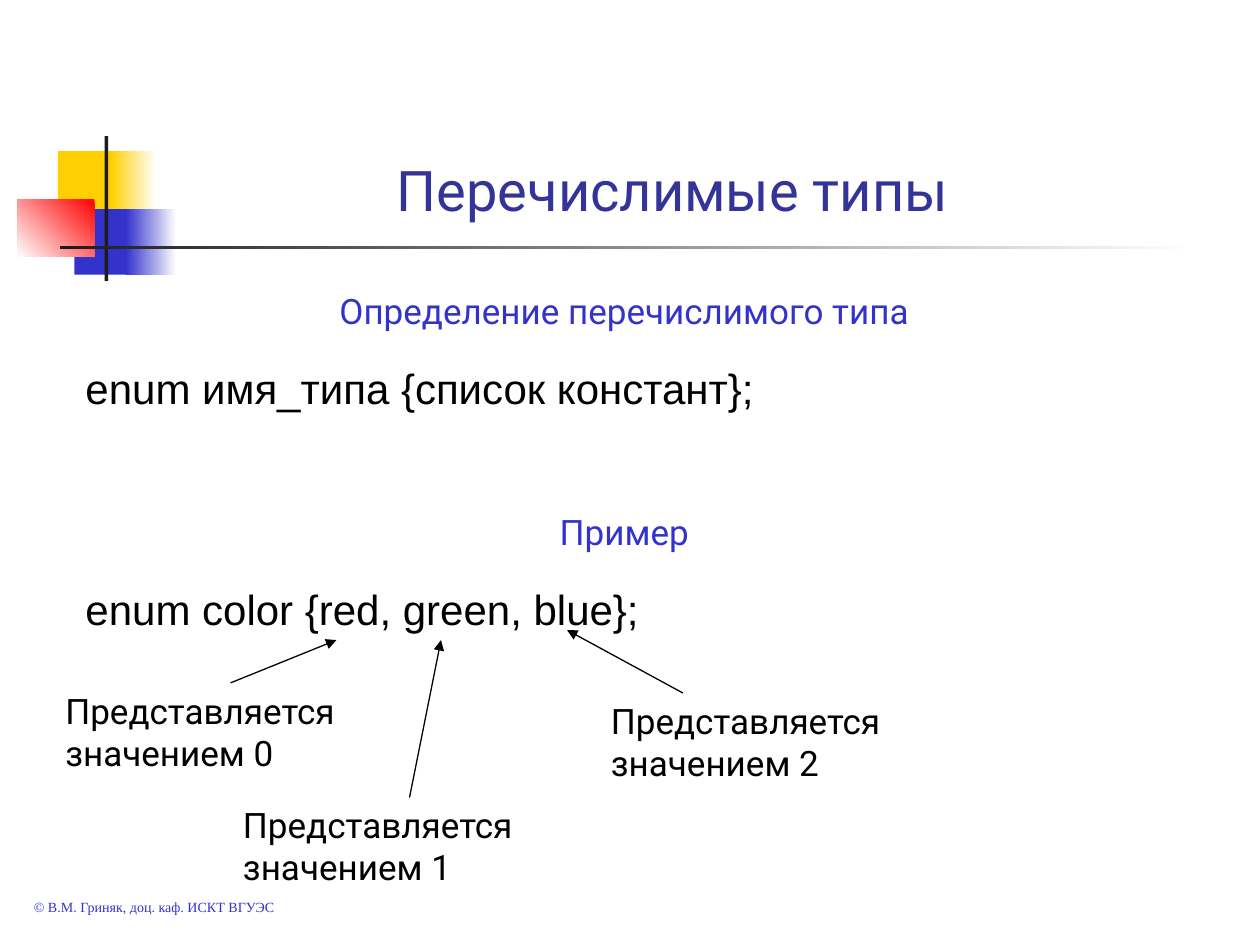
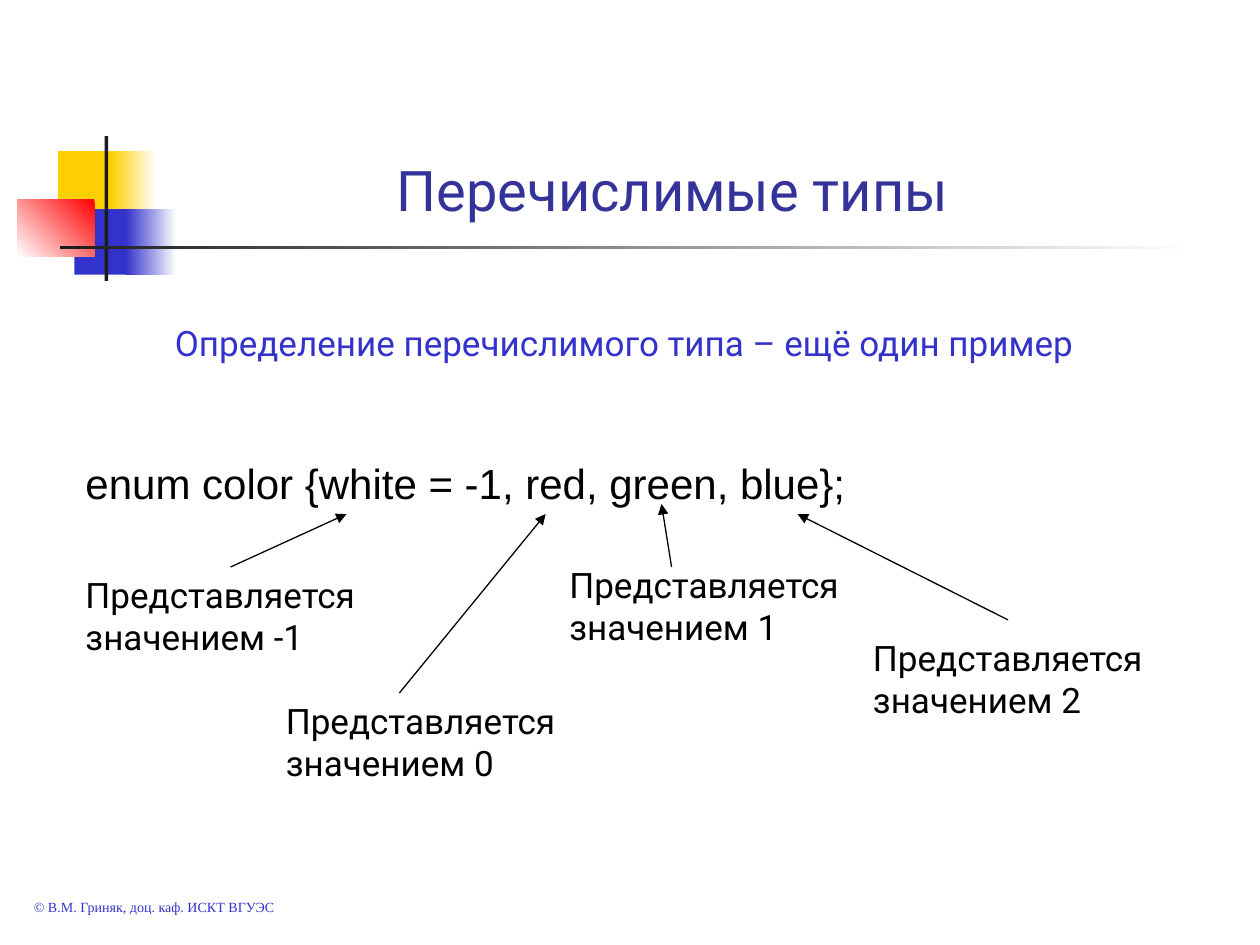
import pptx
import pptx.util
import pptx.dml.color
import pptx.enum.shapes
import pptx.enum.text
import pptx.oxml
import pptx.oxml.ns
from lxml import etree

Inches = pptx.util.Inches
ALIGN = pptx.enum.text.PP_ALIGN
ANCHOR = pptx.enum.text.MSO_ANCHOR

# Shared look
YELLOW, BLUE, RED, DARK = "FFCF01", "3333CC", "FF0000", "1C1C1C"
WHITE, BLACK, TITLE_COLOUR = "FFFFFF", "000000", "333399"
TITLE_ONLY = 5

# Text styles: font, size, colour, alignment
STYLES = {
    "title": ("Roboto", 32, TITLE_COLOUR, ALIGN.CENTER),
    "heading": ("Roboto", 20, BLUE, ALIGN.CENTER),
    "code": ("Arial", 24, BLACK, ALIGN.JUSTIFY),
    "note": ("Roboto", 20, BLACK, ALIGN.LEFT),
    "footer": ("Times New Roman", 8, BLUE, ALIGN.LEFT),
}

# Left, width and height of the boxes that share a column
HEADING_BOX = (0.33, 9.25, 0.44)
CODE_BOX = (0.58, 9.08, 0.9)
NOTE_SIZE = (2.58, 0.77)

# Emblem bars: left, top, width, height, colours from start to end, direction
EMBLEM = [
    (0.46, 1.2, 0.48, 0.52, [YELLOW], None),
    (0.88, 1.2, 0.36, 0.52, [WHITE, YELLOW], 180),
    (0.59, 1.66, 0.46, 0.52, [BLUE], None),
    (1, 1.66, 0.4, 0.52, [WHITE, BLUE], 180),
    (0.14, 1.58, 0.61, 0.46, [RED, WHITE], 225),
    (0.83, 1.08, 0.03, 1.15, [DARK], None),
    (0.48, 1.95, 9, 0.03, [WHITE, DARK], 180),
]

TITLE = "Перечислимые типы"
FOOTER = "© В.М. Гриняк, доц. каф. ИСКТ ВГУЭС"
NOTE = "Представляется значением {}"

# Headings and code: (top, text); notes: (value, left, top, arrow start, arrow end)
SLIDES = [
    {
        "headings": [(2.25, "Определение перечислимого типа"), (4, "Пример")],
        "code": [(2.83, "enum имя_типа {список констант};"),
                 (4.58, "enum color {red, green, blue};")],
        "notes": [
            (0, 0.42, 5.42, (1.83, 5.42), (2.67, 5.08)),
            (1, 1.83, 6.33, (3.25, 6.33), (3.5, 5.08)),
            (2, 4.75, 5.5, (5.42, 5.5), (4.5, 5)),
        ],
    },
    {
        "headings": [(2.5, "Определение перечислимого типа – ещё один пример")],
        "code": [(3.58, "enum color {white = -1, red, green, blue};")],
        "notes": [
            (-1, 0.58, 4.5, (1.83, 4.5), (2.75, 4.08)),
            (0, 2.17, 5.5, (3.17, 5.5), (4.33, 4.08)),
            (1, 4.42, 4.42, (5.33, 4.5), (5.25, 4)),
            (2, 6.83, 5, (8, 4.92), (6.33, 4.08)),
        ],
    },
]


def colour(value):
    return pptx.dml.color.RGBColor.from_string(value)


def write(box, text, style, anchor=ANCHOR.TOP):
    font, size, text_colour, alignment = STYLES[style]
    frame = box.text_frame
    frame.word_wrap = True
    frame.auto_size = pptx.enum.text.MSO_AUTO_SIZE.NONE
    frame.vertical_anchor = anchor
    frame.text = text
    para = frame.paragraphs[0]
    para.alignment = alignment
    span = para.runs[0]
    span.font.name = font
    span.font.size = pptx.util.Pt(size)
    span.font.color.rgb = colour(text_colour)


def add_text(page, left, top, width, height, text, style):
    box = page.shapes.add_textbox(*map(Inches, (left, top, width, height)))
    write(box, text, style)


def add_arrow(page, start, end):
    arrow = page.shapes.add_connector(
        pptx.enum.shapes.MSO_CONNECTOR.STRAIGHT, *map(Inches, start + end))
    arrow.line.color.rgb = colour(BLACK)
    arrow.line.width = pptx.util.Pt(0.75)
    properties = arrow.element.spPr
    line = properties.find(pptx.oxml.ns.qn("a:ln"))
    etree.SubElement(line, pptx.oxml.ns.qn("a:tailEnd"), type="triangle")
    etree.SubElement(properties, pptx.oxml.ns.qn("a:effectLst"))


def put_emblem_on_layout(page):
    """Draw the bars on a page, then move them behind everything on its layout."""
    tree = page.slide_layout.shapes.element
    for index, (left, top, width, height, colours, angle) in enumerate(EMBLEM):
        bar = page.shapes.add_shape(
            pptx.enum.shapes.MSO_SHAPE.RECTANGLE,
            *map(Inches, (left, top, width, height)))
        bar.shadow.inherit = False
        bar.line.fill.background()
        if angle is None:
            bar.fill.solid()
            bar.fill.fore_color.rgb = colour(colours[0])
        else:
            bar.fill.gradient()
            bar.fill.gradient_angle = angle
            for stop, value in zip(bar.fill.gradient_stops, colours):
                stop.color.rgb = colour(value)
        bar.element.xpath("./p:nvSpPr/p:cNvPr")[0].set("id", str(100 + index))
        tree.insert(2 + index, bar.element)


def build_slide(page, content):
    # Title and footer
    title = page.shapes.title
    title.left, title.top, title.width, title.height = map(
        Inches, (1.08, 0.58, 8.52, 1.24))
    write(title, TITLE, "title", ANCHOR.BOTTOM)
    add_text(page, 0.17, 7.08, 2.67, 0.24, FOOTER, "footer")

    # Headings and code lines
    for part, style, (left, width, height) in (
            ("headings", "heading", HEADING_BOX), ("code", "code", CODE_BOX)):
        for top, text in content[part]:
            add_text(page, left, top, width, height, text, style)

    # Notes with arrows to the constants
    for value, left, top, start, end in content["notes"]:
        add_text(page, left, top, *NOTE_SIZE, NOTE.format(value), "note")
        add_arrow(page, start, end)


def main():
    deck = pptx.Presentation()
    deck.slide_width, deck.slide_height = Inches(10), Inches(7.5)
    layout = deck.slide_layouts[TITLE_ONLY]
    pages = [deck.slides.add_slide(layout) for _ in SLIDES]
    put_emblem_on_layout(pages[0])
    for page, content in zip(pages, SLIDES):
        build_slide(page, content)
    deck.save("out.pptx")


if __name__ == "__main__":
    main()
